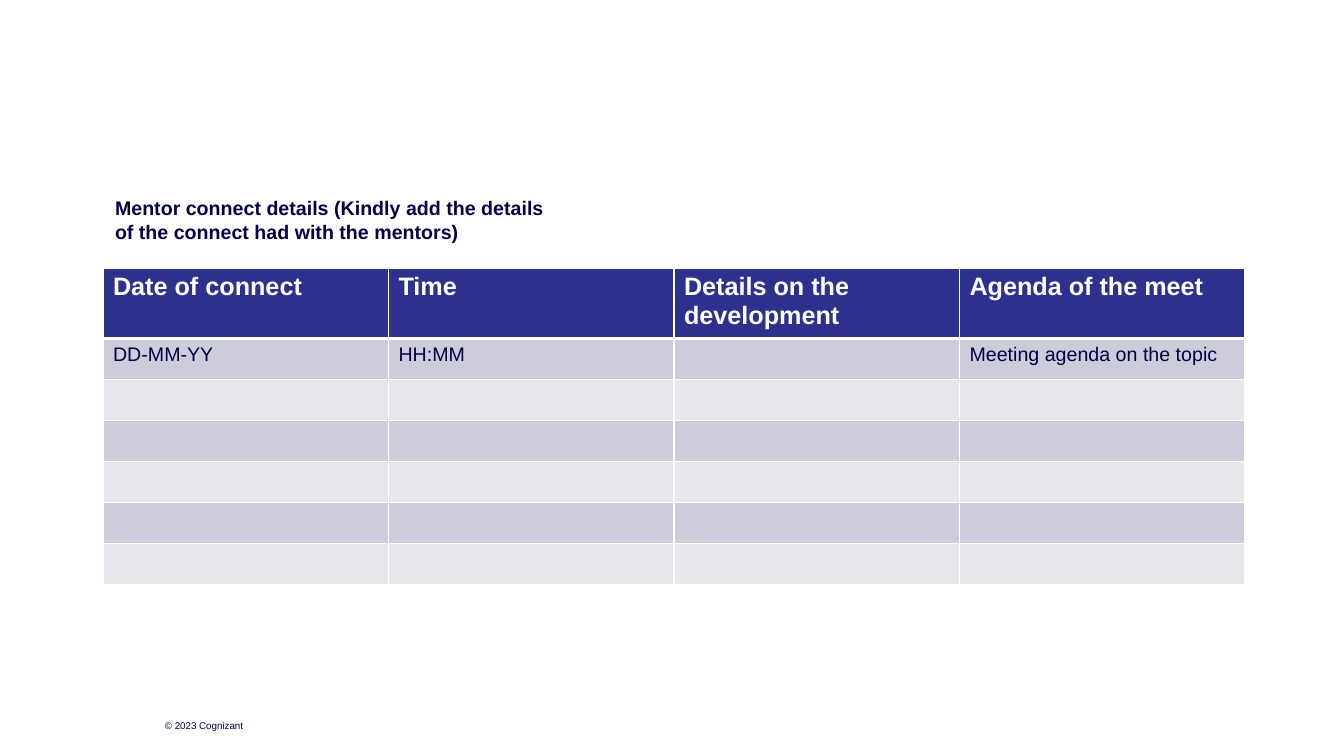
from lxml.etree import SubElement
from pptx import Presentation
from pptx.dml.color import RGBColor
from pptx.enum.text import MSO_ANCHOR
from pptx.oxml.ns import qn
from pptx.util import Pt

NAVY = RGBColor(0x00, 0x00, 0x48)
BLUE = RGBColor(0x2E, 0x30, 0x8E)
WHITE = RGBColor(0xFF, 0xFF, 0xFF)
DARK = RGBColor(0xCC, 0xCC, 0xDA)
LIGHT = RGBColor(0xE7, 0xE7, 0xED)

TITLE = "Mentor connect details (Kindly add the details of the connect had with the mentors)"
FOOTER = "© 2023 Cognizant"
HEADS = ["Date of connect", "Time", "Details on the development", "Agenda of the meet"]
FIRST = ["DD-MM-YY", "HH:MM", "", "Meeting agenda on the topic"]
BLANKS = 5
ROWS = [HEADS, FIRST] + [[""] * len(HEADS)] * BLANKS

LEFT, TOP, WIDTH = 103, 268, 1142
HEAD_H, ROW_H = 67, 41


def px(n):
    return round(n * 914400 / 100.8)


def write(frame, text, size, color, bold=False):
    run = frame.paragraphs[0].add_run()
    run.text = text
    font = run.font
    font.name, font.size, font.bold = "Arial", Pt(size), bold
    font.color.rgb = color


def add_text(slide, area, text, size, bold, anchor):
    frame = slide.shapes.add_textbox(*map(px, area)).text_frame
    frame.word_wrap = True
    frame.vertical_anchor = anchor
    frame.margin_left = frame.margin_right = 0
    frame.margin_top = frame.margin_bottom = 0
    write(frame, text, size, NAVY, bold)


def add_edges(cell, widths):
    """Draw white cell borders; the fill must be set afterwards."""
    props = cell._tc.get_or_add_tcPr()
    for side, width in widths.items():
        line = SubElement(props, qn("a:ln" + side), w=str(Pt(width)))
        fill = SubElement(line, qn("a:solidFill"))
        SubElement(fill, qn("a:srgbClr"), val=str(WHITE))


def add_grid(slide):
    height = HEAD_H + ROW_H * (len(ROWS) - 1)
    area = map(px, (LEFT, TOP, WIDTH, height))
    table = slide.shapes.add_table(len(ROWS), len(HEADS), *area).table
    for col in table.columns:
        col.width = px(WIDTH / len(HEADS))
    for r, texts in enumerate(ROWS):
        head = r == 0
        table.rows[r].height = px(HEAD_H if head else ROW_H)
        shade = BLUE if head else DARK if r % 2 else LIGHT
        edges = {"L": 1, "R": 1, "T": 3 if r == 1 else 1, "B": 3 if head else 1}
        for c, text in enumerate(texts):
            cell = table.cell(r, c)
            add_edges(cell, edges)
            cell.fill.solid()
            cell.fill.fore_color.rgb = shade
            if text:
                write(cell.text_frame, text, 18 if head else 14,
                      WHITE if head else NAVY, head)


def main():
    deck = Presentation()
    deck.slide_width, deck.slide_height = px(1344), px(756)
    slide = deck.slides.add_slide(deck.slide_layouts[6])
    add_text(slide, (165, 698, 132, 33), FOOTER, 7, False, MSO_ANCHOR.BOTTOM)
    add_text(slide, (115, 196, 443, 40), TITLE, 14, True, MSO_ANCHOR.TOP)
    add_grid(slide)
    deck.save("out.pptx")


if __name__ == "__main__":
    main()
